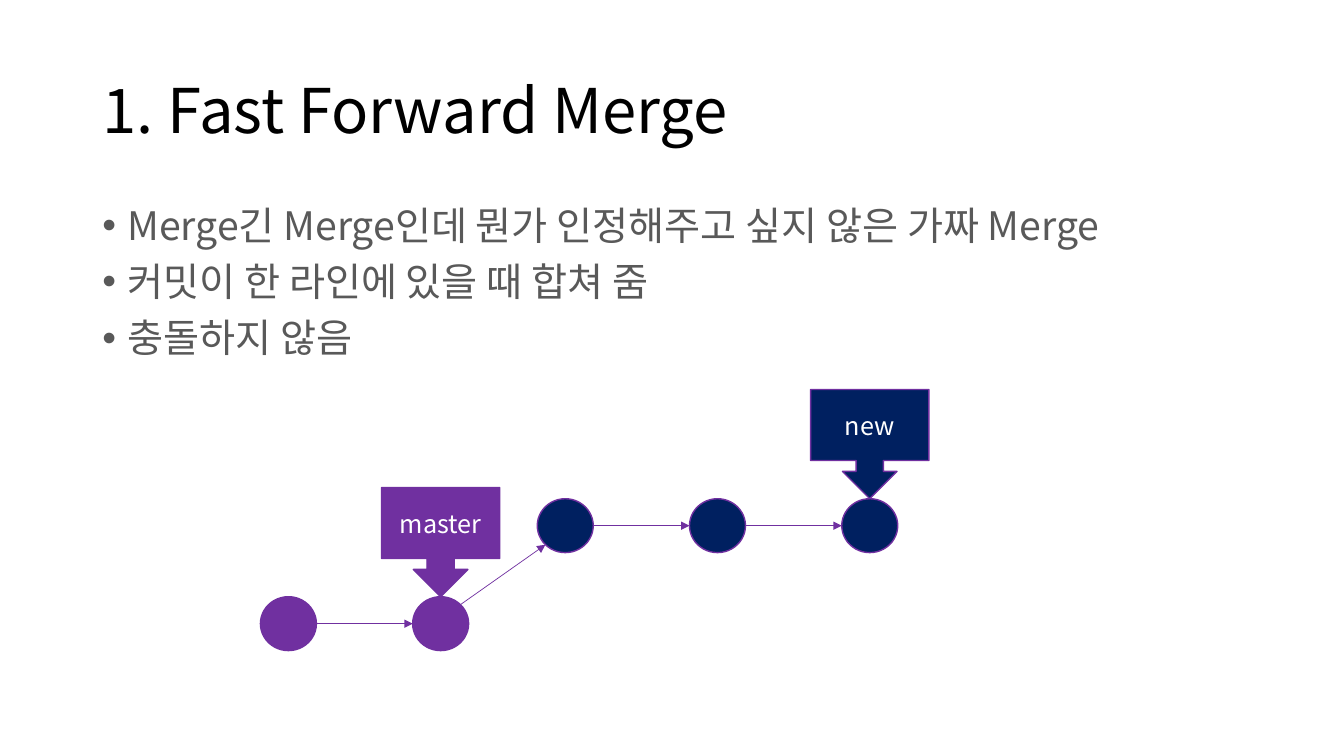
import math
import pptx
import pptx.util
import pptx.dml.color
import pptx.enum.shapes
import pptx.enum.text
import pptx.oxml.ns
import lxml.etree

Pt = pptx.util.Pt
SHAPE = pptx.enum.shapes.MSO_SHAPE
ANCHOR = pptx.enum.text.MSO_ANCHOR
ALIGN = pptx.enum.text.PP_ALIGN
qn = pptx.oxml.ns.qn

BLACK = pptx.dml.color.RGBColor(0x00, 0x00, 0x00)
GRAY = pptx.dml.color.RGBColor(0x59, 0x59, 0x59)
WHITE = pptx.dml.color.RGBColor(0xFF, 0xFF, 0xFF)
NAVY = pptx.dml.color.RGBColor(0x00, 0x20, 0x60)
PURPLE = pptx.dml.color.RGBColor(0x70, 0x30, 0xA0)
FONT = "Noto Sans CJK KR"


def write(frame, *lines, size, color, anchor=ANCHOR.MIDDLE, align=ALIGN.LEFT,
          spacing=None, gap=0, bullet=None):
    frame.word_wrap = True
    frame.vertical_anchor = anchor
    for index, line in enumerate(lines):
        paragraph = frame.add_paragraph() if index else frame.paragraphs[0]
        paragraph.alignment = align
        if spacing:
            paragraph.line_spacing = spacing
        if index:
            paragraph.space_before = Pt(gap)
        if bullet:
            properties = paragraph._p.get_or_add_pPr()
            properties.set("marL", str(Pt(18)))
            properties.set("indent", str(-Pt(18)))
            lxml.etree.SubElement(properties, qn("a:buFont"), typeface="Arial")
            lxml.etree.SubElement(properties, qn("a:buChar"), char=bullet)
        run = paragraph.add_run()
        run.text = line
        run.font.size = Pt(size)
        run.font.color.rgb = color
        run.font.name = FONT
        lxml.etree.SubElement(run._r.get_or_add_rPr(), qn("a:ea"), typeface=FONT)


def add_filled(kind, left, top, width, height, color):
    shape = slide.shapes.add_shape(kind, Pt(left), Pt(top), Pt(width), Pt(height))
    shape.shadow.inherit = False
    shape.fill.solid()
    shape.fill.fore_color.rgb = color
    shape.line.color.rgb = PURPLE
    shape.line.width = Pt(1)
    return shape


deck = pptx.Presentation()
deck.slide_width = Pt(960)
deck.slide_height = Pt(540)
slide = deck.slides.add_slide(deck.slide_layouts[6])

title = slide.shapes.add_textbox(Pt(66), Pt(28.75), Pt(828), Pt(104.4))
write(title.text_frame, "1. Fast Forward Merge", size=44, color=BLACK, spacing=0.9)

points = slide.shapes.add_textbox(Pt(66), Pt(143.75), Pt(828), Pt(342.6))
write(points.text_frame,
      "Merge긴 Merge인데 뭔가 인정해주고 싶지 않은 가짜 Merge",
      "커밋이 한 라인에 있을 때 합쳐 줌",
      "충돌하지 않음",
      size=28, color=GRAY, anchor=ANCHOR.TOP, spacing=0.9, gap=10, bullet="•")

COMMIT_W, COMMIT_H, STEP = 40, 38.5, 108.75
LABEL_W, LABEL_H = 84.5, 78
branches = [
    ("master", PURPLE, 206, 445.5, 2),
    ("new", NAVY, 403.75, 375.5, 3),
]

commits = []
for name, color, first_x, y, count in branches:
    for index in range(count):
        x = first_x + index * STEP
        add_filled(SHAPE.FLOWCHART_CONNECTOR, x - COMMIT_W / 2, y - COMMIT_H / 2,
                   COMMIT_W, COMMIT_H, color)
        commits.append((x, y))
    label = add_filled(SHAPE.DOWN_ARROW_CALLOUT, x - LABEL_W / 2,
                       y - COMMIT_H / 2 - LABEL_H, LABEL_W, LABEL_H, color)
    write(label.text_frame, name, size=18, color=WHITE, align=ALIGN.CENTER)

for (x1, y1), (x2, y2) in zip(commits, commits[1:]):
    angle = 0 if y1 == y2 else -math.pi / 4
    dx = COMMIT_W / 2 * math.cos(angle)
    dy = COMMIT_H / 2 * math.sin(angle)
    arrow = slide.shapes.add_connector(
        pptx.enum.shapes.MSO_CONNECTOR.STRAIGHT,
        Pt(x1 + dx), Pt(y1 + dy), Pt(x2 - dx), Pt(y2 - dy))
    arrow.line.color.rgb = PURPLE
    arrow.line.width = Pt(0.5)
    lxml.etree.SubElement(arrow.line._get_or_add_ln(), qn("a:tailEnd"), type="triangle")
    lxml.etree.SubElement(arrow._element.spPr, qn("a:effectLst"))

deck.save("out.pptx")
